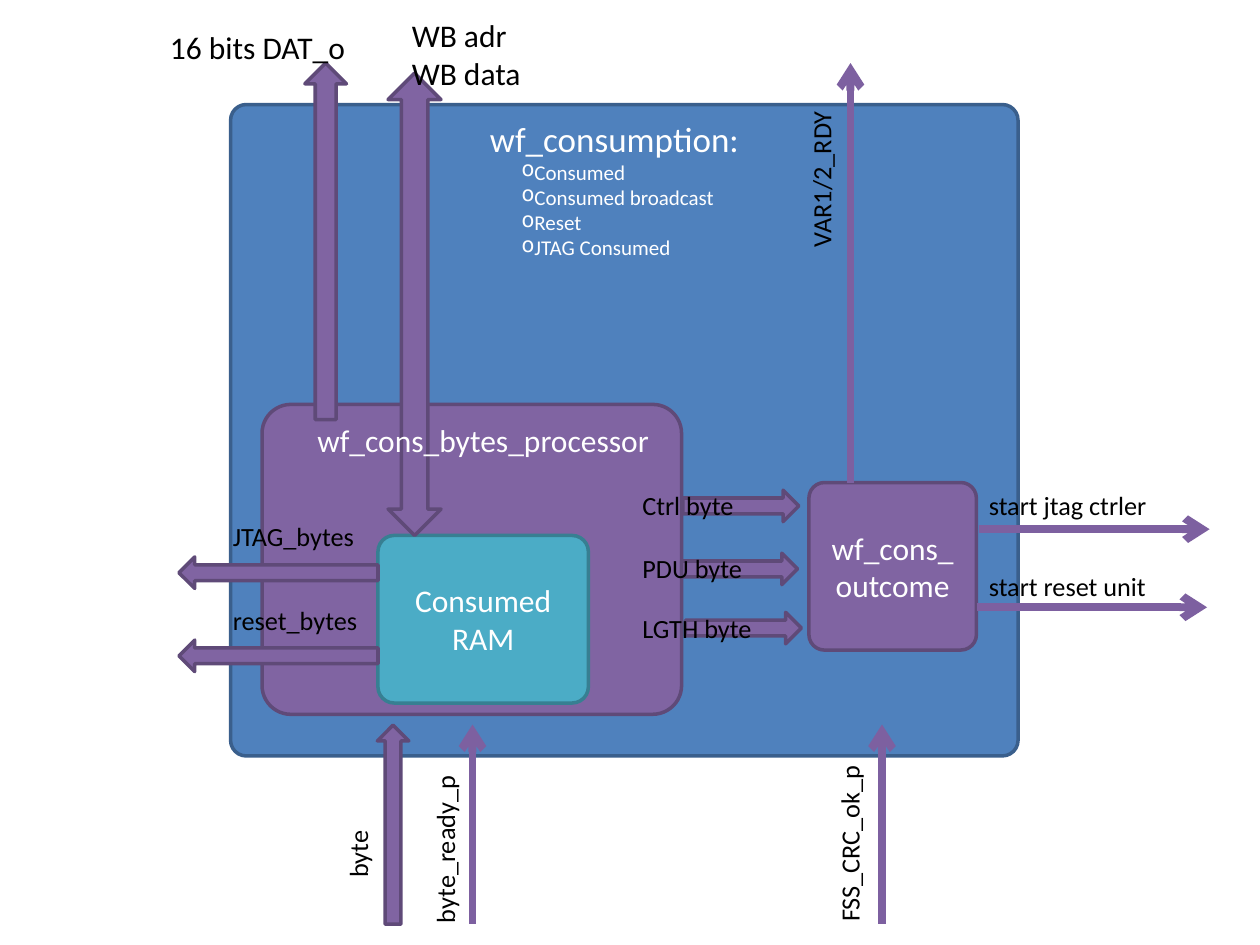
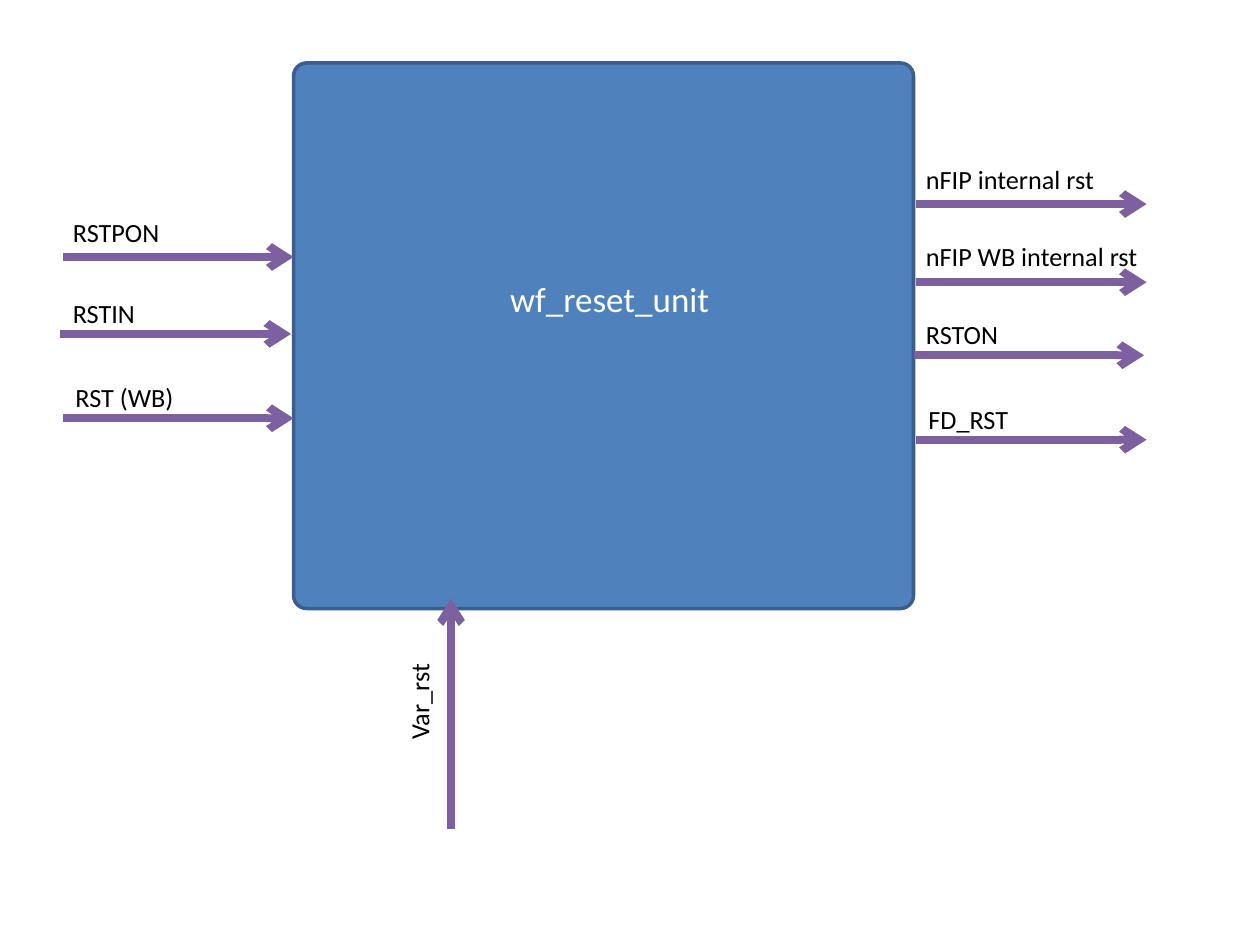
from pptx import Presentation, util as u
from pptx.dml.color import RGBColor
from pptx.enum import shapes, text
from pptx.oxml import ns
from lxml import etree

FONT = "Calibri"
WHITE = RGBColor(0xFF, 0xFF, 0xFF)
BLACK = RGBColor(0, 0, 0)
BLUE = RGBColor(0x4F, 0x81, 0xBD)
NAVY = RGBColor(0x3A, 0x5F, 0x8C)
PURPLE = RGBColor(0x80, 0x64, 0xA2)
PLUM = RGBColor(0x5F, 0x4A, 0x78)
VIOLET = RGBColor(0x7D, 0x60, 0xA0)
TEAL = RGBColor(0x4B, 0xAC, 0xC6)
PINE = RGBColor(0x37, 0x7F, 0x92)
KIND = shapes.MSO_SHAPE
LEFT, MID = text.PP_ALIGN.LEFT, text.PP_ALIGN.CENTER

USAGE = {
    "boxes": [
        ((1.83, 0.83, 6.25, 5.17), 0.024, BLUE, NAVY, []),
        ((2.08, 3.21, 3.33, 2.46), 0.093, PURPLE, PLUM, []),
        ((6.42, 3.83, 1.33, 1.33), 0.093, PURPLE, PLUM, ["wf_cons_outcome"]),
        ((3, 4.25, 1.67, 1.33), 0.097, TEAL, PINE, ["Consumed", "RAM"]),
    ],
    "blocks": [
        ((5.42, 3.89, 0.92, 0.25), 0, KIND.RIGHT_ARROW),
        ((5.41, 4.39, 0.92, 0.25), 0, KIND.RIGHT_ARROW),
        ((5.44, 4.86, 0.92, 0.25), 0, KIND.RIGHT_ARROW),
        ((2.33, 6.42, 1.58, 0.25), 270, KIND.RIGHT_ARROW),
        ((1.17, 1.75, 2.83, 0.33), 270, KIND.RIGHT_ARROW),
        ((1.42, 4.42, 1.58, 0.25), 180, KIND.RIGHT_ARROW),
        ((1.42, 5.08, 1.58, 0.25), 180, KIND.RIGHT_ARROW),
        ((3.08, 0.58, 0.42, 3.67), 180, KIND.UP_DOWN_ARROW),
    ],
    "across": [(7.75, 4.82), (7.77, 4.2)],
    "up": [(3.75, 7.33, 5.75), (7, 7.33, 5.75), (6.75, 3.83, 0.5)],
    "names": [
        ((3.79, 0.88, 2.2, 1.58), ["wf_consumption:"], 20, WHITE,
         ["Consumed", "Consumed broadcast", "Reset", "JTAG Consumed"]),
        ((2.42, 3.29, 2.86, 0.4), ["wf_cons_bytes_processor"], 18, WHITE, []),
        ((1.25, 0.17, 1.61, 0.4), ["16 bits DAT_o"], 18, BLACK, []),
        ((3.17, 0.08, 1.07, 0.71), ["WB adr", "WB data"], 18, BLACK, []),
    ],
    "labels": [
        ("Ctrl byte", 5, 3.83, 0.93, 0),
        ("PDU byte", 5, 4.33, 1, 0),
        ("LGTH byte", 5, 4.81, 1.08, 0),
        ("JTAG_bytes", 1.75, 4.08, 1.17, 0),
        ("reset_bytes", 1.75, 4.75, 1.2, 0),
        ("start jtag ctrler", 7.75, 3.83, 1.47, 0),
        ("start reset unit", 7.75, 4.48, 1.46, 0),
        ("byte", 2.55, 6.6, 0.58, 270),
        ("byte_ready_p", 2.84, 6.56, 1.38, 270),
        ("FSS_CRC_ok_p", 6.01, 6.51, 1.46, 270),
        ("VAR1/2_RDY", 5.87, 1.24, 1.29, 270),
    ],
}
RESET = {
    "boxes": [((2.33, 0.5, 4.92, 4.33), 0.024, BLUE, NAVY, [])],
    "blocks": [],
    "across": [(0.5, 2.04), (0.48, 2.65), (0.5, 3.32),
               (7.27, 1.62), (7.27, 2.24), (7.25, 2.82), (7.27, 3.49)],
    "up": [(3.58, 6.58, 4.75)],
    "names": [((3.95, 2.15, 1.8, 0.44), ["wf_reset_unit"], 20, WHITE, [])],
    "labels": [
        ("RSTPON", 0.48, 1.67, 0.89, 0),
        ("RSTIN", 0.48, 2.31, 0.7, 0),
        ("RST (WB)", 0.5, 2.98, 0.98, 0),
        ("nFIP internal rst", 7.25, 1.25, 1.55, 0),
        ("nFIP WB internal rst", 7.25, 1.86, 1.9, 0),
        ("RSTON", 7.25, 2.48, 0.78, 0),
        ("FD_RST", 7.27, 3.15, 0.84, 0),
        ("Var_rst", 2.92, 5.39, 0.81, 270),
    ],
}
REACH = 1.83


def size(*nums):
    return [u.Cm(n * 2.54) for n in nums]


def write(frame, lines, pts, color, align=LEFT, fresh=True):
    paras = []
    for line in lines:
        para = frame.paragraphs[0] if fresh else frame.add_paragraph()
        fresh = False
        para.alignment = align
        run = para.add_run()
        run.text = line
        run.font.name = FONT
        run.font.size = u.Pt(pts)
        run.font.color.rgb = color
        paras.append(para)
    return paras


def solid(slide, kind, at, fill, edge):
    shape = slide.shapes.add_shape(kind, *size(*at))
    shape.shadow.inherit = False
    shape.fill.solid()
    shape.fill.fore_color.rgb = fill
    shape.line.color.rgb = edge
    shape.line.width = u.Pt(2)
    return shape


def arrow(slide, *ends):
    line = slide.shapes.add_connector(shapes.MSO_CONNECTOR.STRAIGHT, *size(*ends))
    line.line.color.rgb = VIOLET
    line.line.width = u.Pt(4.5)
    etree.SubElement(line.line._get_or_add_ln(), ns.qn("a:tailEnd"), type="arrow")
    etree.SubElement(line._element.spPr, ns.qn("a:effectLst"))


def label(slide, at, lines, pts, color, turn=0):
    box = slide.shapes.add_textbox(*size(*at))
    box.rotation = turn
    frame = box.text_frame
    frame.word_wrap = False
    frame.auto_size = text.MSO_AUTO_SIZE.SHAPE_TO_FIT_TEXT
    write(frame, lines, pts, color)
    return frame


def bullet(para):
    props = para._p.get_or_add_pPr()
    props.set("marL", str(u.Cm(0.64)))
    props.set("indent", "0")
    etree.SubElement(props, ns.qn("a:buChar"), char="o")


def draw(slide, data):
    for at, bend, fill, edge, lines in data["boxes"]:
        shape = solid(slide, KIND.ROUNDED_RECTANGLE, at, fill, edge)
        shape.adjustments[0] = bend
        shape.text_frame.word_wrap = True
        shape.text_frame.vertical_anchor = text.MSO_ANCHOR.MIDDLE
        write(shape.text_frame, lines, 18, WHITE, MID)
    for at, turn, kind in data["blocks"]:
        solid(slide, kind, at, PURPLE, PLUM).rotation = turn
    for x, y in data["across"]:
        arrow(slide, x, y, x + REACH, y)
    for x, start, end in data["up"]:
        arrow(slide, x, start, x, end)
    for at, lines, pts, color, items in data["names"]:
        frame = label(slide, at, lines, pts, color)
        for para in write(frame, items, 12, color, fresh=False):
            bullet(para)
    for word, x, y, wide, turn in data["labels"]:
        label(slide, (x, y, wide, 0.35), [word], 15, BLACK, turn)


deck = Presentation()
deck.slide_width, deck.slide_height = size(10, 7.5)
for data in (USAGE, RESET):
    draw(deck.slides.add_slide(deck.slide_layouts[6]), data)
deck.save("out.pptx")
